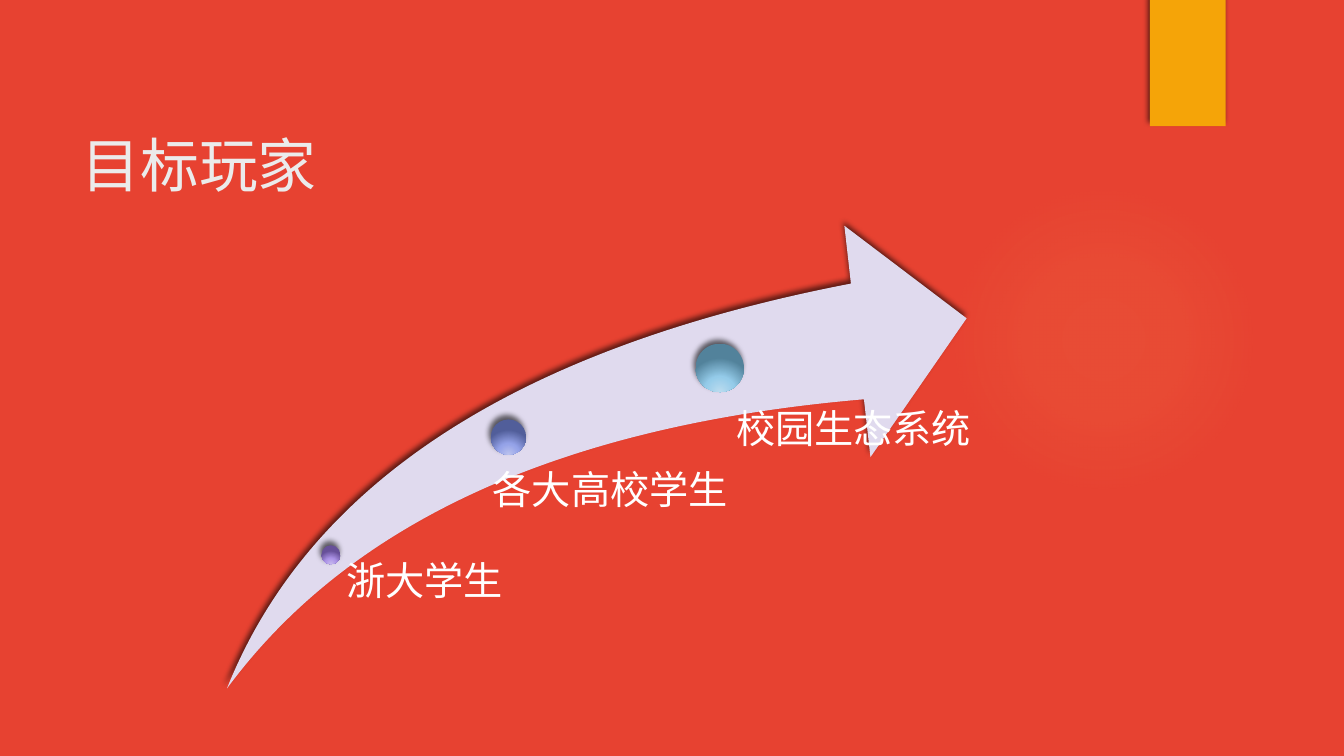
from dataclasses import dataclass

from lxml import etree
from pptx import Presentation
from pptx.dml.color import RGBColor
from pptx.enum import shapes, text
from pptx.oxml import ns
from pptx.util import Cm, Pt


@dataclass(frozen=True)
class Theme:
    background: str = "E74231"
    tab: str = "F5A408"
    arrow: str = "E0DAEE"
    glow: str = "FAC96A"
    title: str = "EBEBEB"
    label: str = "FFFFFF"
    shadow: str = "000000"
    purple: tuple = ("C9BBEE", "AC93E7", "675099")
    indigo: tuple = ("BCC3EE", "94A2E8", "515E9A")
    teal: tuple = ("BCDCEF", "94CBE9", "52829B")
    title_font: str = "Calibri"
    label_font: str = "League Spartan"
    title_size: int = 42
    label_size: int = 28


THEME = Theme()
CENTRED = (50, 50, 50, 50)
LIT_FROM_BELOW = (50, 155, 50, -55)

MILESTONES = [
    ("浙大学生", THEME.purple, (8.1, 13.74, 0.48), (8.48, 14.15, 4.34, 1.83), 0.25),
    ("各大高校学生", THEME.indigo, (12.37, 10.57, 0.89), (11.96, 11.86, 7.14, 1.37), 0.46),
    ("校园生态系统", THEME.teal, (17.53, 8.66, 1.22), (17.91, 10.31, 7.34, 1.85), 0.64),
]


def add_child(parent, tag, **attributes):
    values = {name: str(value) for name, value in attributes.items()}
    return etree.SubElement(parent, ns.qn(tag), values)


def add_colour(parent, colour, opacity):
    element = add_child(parent, "a:srgbClr", val=colour)
    add_child(element, "a:alpha", val=opacity * 1000)


def add_figure(slide, preset, box, colour=None, shadow=True):
    shape = slide.shapes.add_shape(preset, *map(Cm, box))
    if colour:
        shape.fill.solid()
        shape.fill.fore_color.rgb = RGBColor.from_string(colour)
    else:
        shape.fill.background()
    shape.line.fill.background()
    shape.shadow.inherit = False
    if shadow:
        effects = shape._element.spPr.find(ns.qn("a:effectLst"))
        outer = add_child(effects, "a:outerShdw", blurRad=Pt(4), dist=Pt(3),
                          dir=245 * 60000, algn="ctr", rotWithShape=0)
        add_colour(outer, THEME.shadow, 60)
    return shape


def add_radial_circle(slide, left, top, diameter, stops, focus, shadow=True):
    shape = add_figure(slide, shapes.MSO_SHAPE.OVAL, (left, top, diameter, diameter), shadow=shadow)
    properties = shape._element.spPr
    gradient = etree.Element(ns.qn("a:gradFill"), rotWithShape="1")
    stop_list = add_child(gradient, "a:gsLst")
    for position, colour, opacity in stops:
        stop = add_child(stop_list, "a:gs", pos=position * 1000)
        add_colour(stop, colour, opacity)
    radial = add_child(gradient, "a:path", path="circle")
    sides = {side: share * 1000 for side, share in zip("ltrb", focus)}
    add_child(radial, "a:fillToRect", **sides)
    properties.replace(properties.find(ns.qn("a:noFill")), gradient)


def write_text(frame, content, *, font, size, colour, anchor=text.MSO_ANCHOR.TOP,
               line_spacing=None, insets=None):
    frame.word_wrap = True
    frame.auto_size = text.MSO_AUTO_SIZE.NONE
    frame.vertical_anchor = anchor
    if insets:
        (frame.margin_left, frame.margin_top,
         frame.margin_right, frame.margin_bottom) = map(Cm, insets)
    paragraph = frame.paragraphs[0]
    paragraph.alignment = text.PP_ALIGN.LEFT
    if line_spacing:
        paragraph.line_spacing = line_spacing
    run = paragraph.add_run()
    run.text = content
    run.font.name = font
    run.font.size = Pt(size)
    run.font.color.rgb = RGBColor.from_string(colour)


def place_title(slide, content):
    title = slide.shapes.title
    title.left, title.top, title.width, title.height = map(Cm, (1.8, 1.27, 26.14, 3.89))
    write_text(title.text_frame, content, font=THEME.title_font, size=THEME.title_size,
               colour=THEME.title, anchor=text.MSO_ANCHOR.BOTTOM)


def add_milestone(slide, name, shades, dot, box, inset):
    stops = [(position, shade, 100) for position, shade in zip((0, 46, 100), shades)]
    add_radial_circle(slide, *dot, stops, LIT_FROM_BELOW)
    label = slide.shapes.add_textbox(*map(Cm, box))
    write_text(label.text_frame, name, font=THEME.label_font, size=THEME.label_size,
               colour=THEME.label, line_spacing=0.9, insets=(inset, 0, 0, 0))


def main():
    presentation = Presentation()
    presentation.slide_width, presentation.slide_height = Cm(33.87), Cm(19.05)
    slide = presentation.slides.add_slide(presentation.slide_layouts[5])
    slide.background.fill.solid()
    slide.background.fill.fore_color.rgb = RGBColor.from_string(THEME.background)

    glow_stops = [(0, THEME.glow, 7), (36, THEME.glow, 6), (69, THEME.glow, 0)]
    add_radial_circle(slide, 23.9, 4.65, 7.82, glow_stops, CENTRED, shadow=False)
    add_figure(slide, shapes.MSO_SHAPE.RECTANGLE, (28.98, 0, 1.91, 3.18), THEME.tab)
    place_title(slide, "目标玩家")
    arrow = add_figure(slide, shapes.MSO_SHAPE.SWOOSH_ARROW, (5.72, 5.69, 18.64, 11.66), THEME.arrow)
    arrow.adjustments[0] = arrow.adjustments[1] = 0.25
    for milestone in MILESTONES:
        add_milestone(slide, *milestone)
    presentation.save("out.pptx")


if __name__ == "__main__":
    main()
